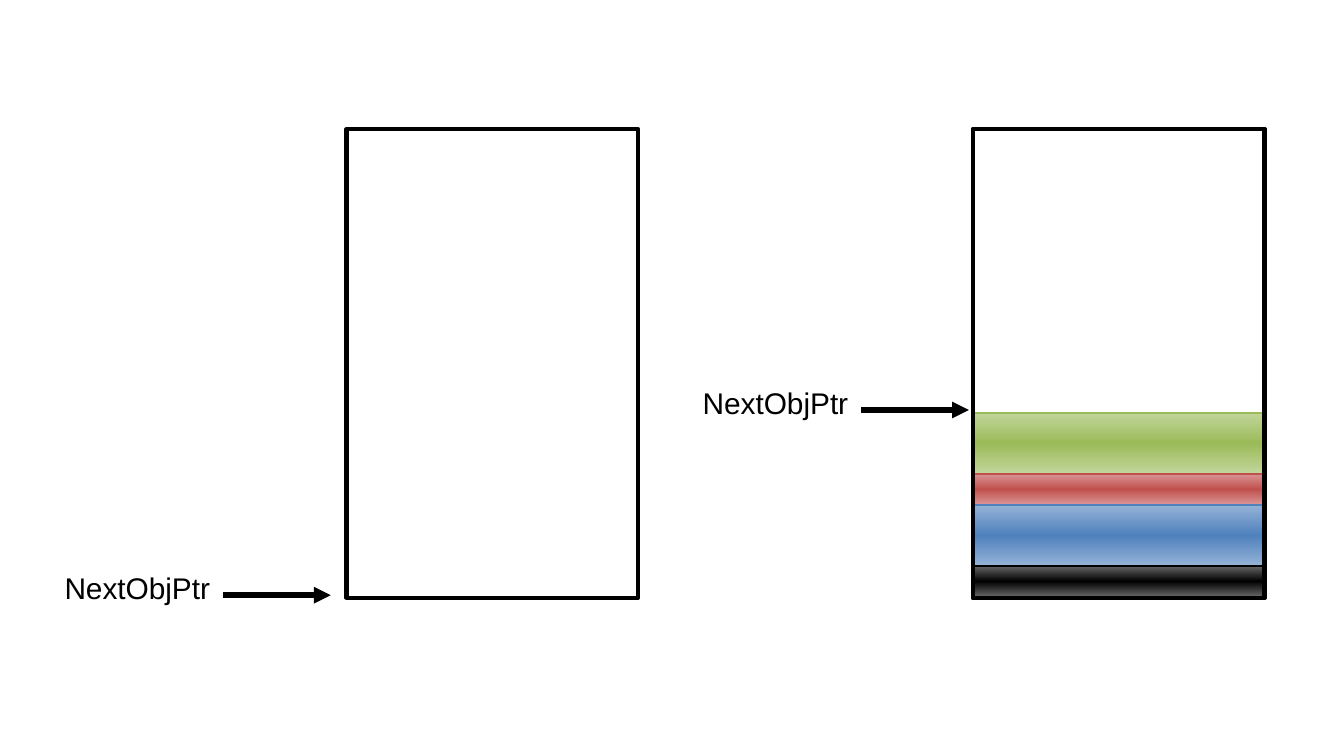
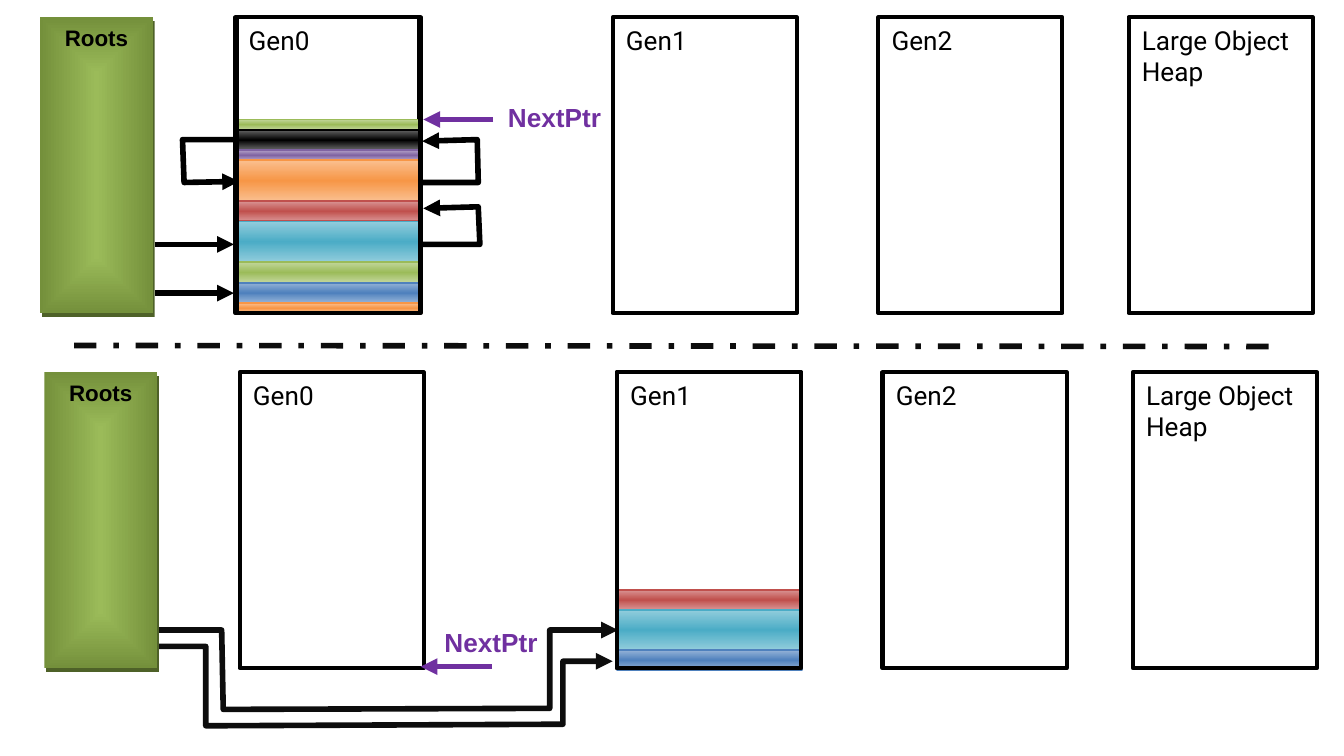
"""Builds two slides on heap allocation and generational garbage collection."""
from lxml import etree
from pptx import Presentation
from pptx import util as u
from pptx.dml.color import RGBColor
from pptx.enum import dml, shapes, text
from pptx.oxml import ns

BLACK, WHITE, INK, PURPLE = "000000", "FFFFFF", "0D0D0D", "7030A0"
OBJECTS = {
    "black": ("666666", BLACK),
    "blue": ("95B3D7", "4F81BD"),
    "red": ("D99594", "C0504D"),
    "green": ("C2D69B", "9BBB59"),
    "violet": ("B2A1C7", "8064A2"),
    "teal": ("92CDDC", "4BACC6"),
    "orange": ("FABF8F", "F79646"),
}
VERTICAL = '<a:lin ang="5400000" scaled="0"/>'
FROM_CENTRE = ('<a:path path="shape"><a:fillToRect l="50000" t="50000" '
               'r="50000" b="50000"/></a:path>')
ROOTS_FILL = {"stops": ("9BBB59", "74903B"), "shade": FROM_CENTRE}
ROOTS_SHADOW = (f'<a:outerShdw {ns.nsdecls("a")} dist="28400" dir="3780000" algn="ctr" '
                'rotWithShape="0"><a:srgbClr val="4E6128"/></a:outerShdw>')
POINTER = {"name": "Arial", "size": u.Pt(16), "bold": False}
NEXT = {"name": "Arial", "size": u.Pt(14), "bold": True}
ROOTS = {"name": "Arial", "size": u.Pt(12), "bold": True}
GENERATION = {"name": "Roboto", "size": u.Pt(14), "bold": False}


def box(slide, at, fill=None, edge=None, weight=2.25, words="", style=None, ink=BLACK):
    place = [u.Cm(length) for length in at]
    if fill or edge:
        shape = slide.shapes.add_shape(shapes.MSO_SHAPE.RECTANGLE, *place)
        shape.shadow.inherit = False
        if isinstance(fill, dict):
            last = len(fill["stops"]) - 1
            stops = "".join(
                f'<a:gs pos="{100000 * i // last}"><a:srgbClr val="{tone}"/></a:gs>'
                for i, tone in enumerate(fill["stops"]))
            shape._element.spPr.prstGeom.addnext(etree.fromstring(
                f'<a:gradFill {ns.nsdecls("a")} rotWithShape="1">'
                f'<a:gsLst>{stops}</a:gsLst>{fill["shade"]}</a:gradFill>'))
        elif fill:
            shape.fill.solid()
            shape.fill.fore_color.rgb = RGBColor.from_string(fill)
        else:
            shape.fill.background()
        if edge:
            shape.line.color.rgb = RGBColor.from_string(edge)
            shape.line.width = u.Pt(weight)
        else:
            shape.line.fill.background()
    else:
        shape = slide.shapes.add_textbox(*place)
    if words:
        frame = shape.text_frame
        frame.word_wrap = True
        frame.vertical_anchor = text.MSO_ANCHOR.TOP
        paragraph = frame.paragraphs[0]
        paragraph.alignment = text.PP_ALIGN.CENTER if style is ROOTS else text.PP_ALIGN.LEFT
        run = paragraph.add_run()
        run.text = words
        for key, value in style.items():
            setattr(run.font, key, value)
        run.font.color.rgb = RGBColor.from_string(ink)
    return shape


def route(slide, points, ink=BLACK, dash=None):
    stops = [(u.Cm(x), u.Cm(y)) for x, y in points]
    if len(stops) == 2:
        line = slide.shapes.add_connector(shapes.MSO_CONNECTOR.STRAIGHT, *stops[0], *stops[1])
    else:
        builder = slide.shapes.build_freeform(*stops[0])
        builder.add_line_segments(stops[1:], close=False)
        line = builder.convert_to_shape()
        line.fill.background()
    line.line.color.rgb = RGBColor.from_string(ink)
    line.line.width = u.Pt(3)
    if dash:
        line.line.dash_style = dash
    else:
        etree.SubElement(line.line._get_or_add_ln(), ns.qn("a:tailEnd"), type="triangle")
    etree.SubElement(line._element.spPr, ns.qn("a:effectLst"))


deck = Presentation()
deck.slide_width, deck.slide_height = u.Cm(25.4), u.Cm(14.29)
allocation, collection = [deck.slides.add_slide(deck.slide_layouts[6]) for _ in range(2)]

# Allocation
HEAP_TOP, HEAP_WIDTH, HEAP_HEIGHT = 2.44, 5.51, 8.86
for heap_left, label_left, label_top, tail, tip in (
        (6.55, 0.97, 10.64, 4.22, 6.25), (18.39, 13.03, 7.14, 16.28, 18.31)):
    box(allocation, (label_left, label_top, 3.86, 1.22), words="NextObjPtr", style=POINTER)
    pointer_y = label_top + 0.61
    route(allocation, [(tail, pointer_y), (tip, pointer_y)])
    box(allocation, (heap_left, HEAP_TOP, HEAP_WIDTH, HEAP_HEIGHT), WHITE, BLACK)

# Collection
ROW_TOPS, ROW_SHIFT, GEN_WIDTH, GEN_HEIGHT = (0.33, 7.04), 0.08, 3.48, 5.59
GENERATIONS = {"Gen0": 4.45, "Gen1": 11.58, "Gen2": 16.6, "Large Object Heap": 21.33}

for survivor_path in (
        [(2.95, 11.91), (4.19, 11.91), (4.22, 13.41), (10.39, 13.39), (10.39, 11.91), (11.68, 11.91)],
        [(2.97, 12.22), (3.89, 12.22), (3.89, 13.72), (10.64, 13.69), (10.64, 12.5), (11.58, 12.5)]):
    route(collection, survivor_path, INK)

for row, top in enumerate(ROW_TOPS):
    shift = row * ROW_SHIFT
    roots = box(collection, (0.76 + shift, top, 2.13, GEN_HEIGHT), ROOTS_FILL,
                words="Roots", style=ROOTS)
    roots._element.spPr.find(ns.qn("a:effectLst")).append(etree.fromstring(ROOTS_SHADOW))
    for generation, left in GENERATIONS.items():
        box(collection, (left + shift, top, GEN_WIDTH, GEN_HEIGHT), WHITE, BLACK,
            words=generation, style=GENERATION)

for left, top, tail, tip, pointer_y in (
        (9.35, 1.8, 9.32, 8.0, 2.26), (8.15, 11.71, 9.3, 7.95, 12.6)):
    box(collection, (left, top, 2.44, 0.76), words="NextPtr", style=NEXT, ink=PURPLE)
    route(collection, [(tail, pointer_y), (tip, pointer_y)], PURPLE)

for reference in (
        [(2.92, 5.54), (4.42, 5.54)],
        [(2.92, 4.62), (4.42, 4.62)],
        [(7.95, 4.62), (9.07, 4.62), (9.04, 3.91), (8.0, 3.94)],
        [(7.92, 3.45), (9.04, 3.45), (9.02, 2.64), (7.98, 2.67)],
        [(4.57, 2.64), (3.45, 2.64), (3.48, 3.45), (4.52, 3.43)]):
    route(collection, reference)

route(collection, [(1.4, 6.53), (24.08, 6.55)], INK, dml.MSO_LINE.DASH_DOT)

# Allocated objects, sized by weight, under the outline of their heap
STACKS = (
    (allocation, (18.39, HEAP_TOP, HEAP_WIDTH, HEAP_HEIGHT), 7.8, 11.28,
     (("green", 2), ("red", 1), ("blue", 2), ("black", 1))),
    (collection, (4.47, ROW_TOPS[0], GEN_WIDTH, GEN_HEIGHT), 2.26, 5.92,
     (("green", 1), ("black", 2), ("violet", 1), ("orange", 4), ("red", 2),
      ("teal", 4), ("green", 2), ("blue", 2), ("orange", 1))),
    (collection, (11.66, ROW_TOPS[1], GEN_WIDTH, GEN_HEIGHT), 11.15, 12.67,
     (("red", 2), ("teal", 4), ("blue", 2))),
)
for slide, outline, top, bottom, contents in STACKS:
    unit = (bottom - top) / sum(size for _, size in contents)
    for name, size in contents:
        light, core = OBJECTS[name]
        box(slide, (outline[0], top, outline[2] + 0.02, size * unit),
            {"stops": (light, core, light), "shade": VERTICAL}, core, 1)
        top += size * unit
    box(slide, outline, edge=BLACK)

deck.save("out.pptx")
